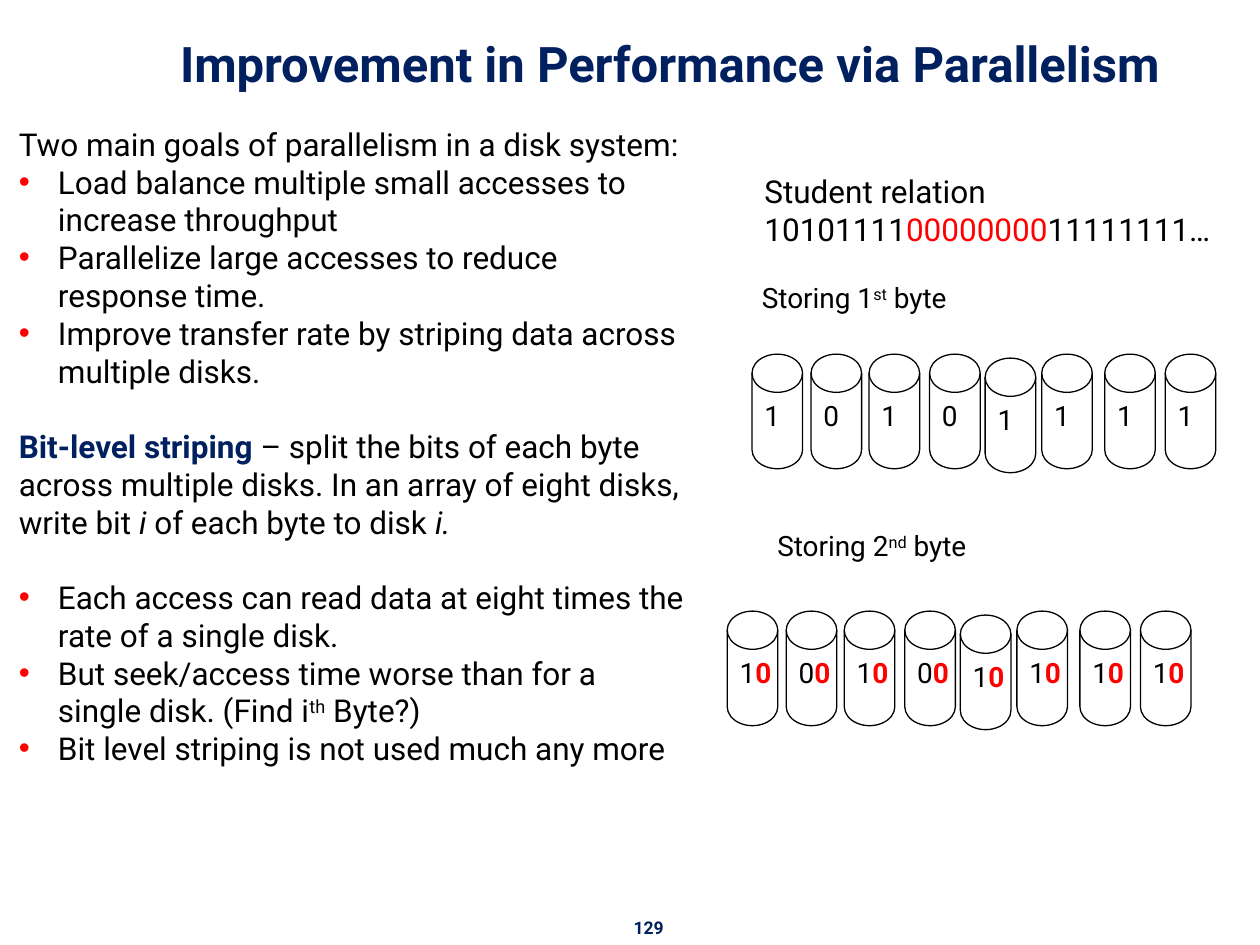
from lxml.etree import SubElement
from pptx import Presentation
from pptx.dml.color import RGBColor
from pptx.enum.shapes import MSO_SHAPE
from pptx.enum.text import MSO_ANCHOR, MSO_AUTO_SIZE, PP_ALIGN
from pptx.oxml.ns import qn
from pptx.util import Cm, Pt

HUES = {"ink": "000000", "navy": "002060", "red": "FF0000", "white": "FFFFFF"}
FACE = "Roboto"
GAP = 21.5  # one line of body text, in points


def tint(name):
    return RGBColor.from_string(HUES[name])


def add_run(para, text, size, hue="ink", bold=False, slant=False, sup=False):
    run = para.add_run()
    run.text = text
    font = run.font
    font.name, font.size = FACE, Pt(size)
    font.bold, font.italic = bold, slant
    font.color.rgb = tint(hue)
    if sup:
        run._r.get_or_add_rPr().set("baseline", "30000")


def add_dot(para):
    """Give the paragraph a red bullet with a hanging indent."""
    props = para._p.get_or_add_pPr()
    props.set("marL", str(Cm(0.79)))
    props.set("indent", str(-Cm(0.79)))
    color = SubElement(props, qn("a:buClr"))
    SubElement(color, qn("a:srgbClr")).set("val", HUES["red"])
    SubElement(props, qn("a:buFont")).set("typeface", "Arial")
    SubElement(props, qn("a:buChar")).set("char", "•")


def add_text(slide, box, paras, size):
    """Add a text box; each paragraph is (bullet, space before, runs)."""
    shape = slide.shapes.add_textbox(*map(Cm, box))
    frame = shape.text_frame
    frame.word_wrap = True
    for i, (dot, gap, runs) in enumerate(paras):
        para = frame.add_paragraph() if i else frame.paragraphs[0]
        if dot:
            add_dot(para)
        if gap:
            para.space_before = Pt(gap)
        for text, style in runs:
            add_run(para, text, size, **style)
    return frame


def add_title(slide, box, text):
    title = slide.shapes.title
    title.left, title.top, title.width, title.height = map(Cm, box)
    frame = title.text_frame
    frame.auto_size = MSO_AUTO_SIZE.NONE
    frame.vertical_anchor = MSO_ANCHOR.BOTTOM
    para = frame.paragraphs[0]
    para.alignment = PP_ALIGN.CENTER
    add_run(para, text, 28, "navy", bold=True)


def add_goals(slide, box):
    ital = {"slant": True}
    add_text(slide, box, [
        (False, 0, [("Two main goals of parallelism in a disk system:", {})]),
        (True, 0, [("Load balance multiple small accesses to "
                    "increase throughput", {})]),
        (True, 0, [("Parallelize large accesses to reduce response time.", {})]),
        (True, 0, [("Improve transfer rate by striping data across "
                    "multiple disks.", {})]),
        (False, GAP, [
            ("Bit-level striping ", {"hue": "navy", "bold": True}),
            ("– split the bits of each byte across multiple disks. "
             "In an array of eight disks, write bit ", {}),
            ("i", ital), (" of each byte to disk ", {}), ("i.", ital)]),
        (True, GAP, [("Each access can read data at eight times the "
                      "rate of a single disk.", {})]),
        (True, 0, [("But seek/access time worse than for a single disk. "
                    "(Find i", {}), ("th", {"sup": True}), (" Byte?)", {})]),
        (True, 0, [("Bit level striping is not used much any more", {})]),
    ], 18)


def add_bits(slide, box):
    add_text(slide, box, [
        (False, 0, [("Student relation", {})]),
        (False, 0, [("10101111", {}), ("00000000", {"hue": "red"}),
                    ("11111111…", {})]),
    ], 18)


def add_label(slide, box, num, mark):
    add_text(slide, box, [
        (False, 0, [(f"Storing {num}", {}), (mark, {"sup": True}),
                    (" byte", {})])], 16)


def add_disks(slide, left, top, first, second=""):
    """Add a group of eight disks, one bit of each byte on every disk."""
    steps = (0, 1.19, 2.36, 3.58, 4.7, 5.84, 7.11, 8.38 - 0.05)
    drops = (0, 0, 0, 0, 0.08, 0, 0, 0)
    group = slide.shapes.add_group_shape()
    for i, (step, drop) in enumerate(zip(steps, drops)):
        disk = group.shapes.add_shape(
            MSO_SHAPE.FLOWCHART_MAGNETIC_DISK,
            Cm(left + step), Cm(top + drop), Cm(1.02), Cm(2.31))
        disk.shadow.inherit = False
        disk.fill.solid()
        disk.fill.fore_color.rgb = tint("white")
        disk.line.color.rgb = tint("ink")
        disk.line.width = Pt(0.75)
        frame = disk.text_frame
        frame.word_wrap = False
        frame.vertical_anchor = MSO_ANCHOR.TOP
        para = frame.paragraphs[0]
        para.alignment = PP_ALIGN.LEFT
        add_run(para, first[i], 16)
        if second:
            add_run(para, second[i], 16, "red", bold=True)


def add_page(slide, box, num):
    style = {"hue": "navy", "bold": True}
    frame = add_text(slide, box, [(False, 0, [(num, style)])], 10)
    frame.word_wrap = False
    frame.paragraphs[0].alignment = PP_ALIGN.CENTER


def main():
    deck = Presentation()
    deck.slide_width, deck.slide_height = Cm(25.4), Cm(19.05)
    slide = deck.slides.add_slide(deck.slide_layouts[5])
    add_title(slide, (1.6, 0.71, 23.8, 1.27),
              "Improvement in Performance via Parallelism")
    add_goals(slide, (0.13, 2.39, 13.97, 14.1))
    add_bits(slide, (15.16, 3.35, 10.2, 1.8))
    add_label(slide, (15.11, 5.54, 7.67, 0.94), 1, "st")
    add_disks(slide, 15.16, 7.14, "10101111")
    add_label(slide, (15.42, 10.54, 7.67, 0.94), 2, "nd")
    add_disks(slide, 14.66, 12.32, "10101111", "00000000")
    add_page(slide, (12.4, 18.36, 1.35, 0.69), "129")
    deck.save("out.pptx")


if __name__ == "__main__":
    main()
